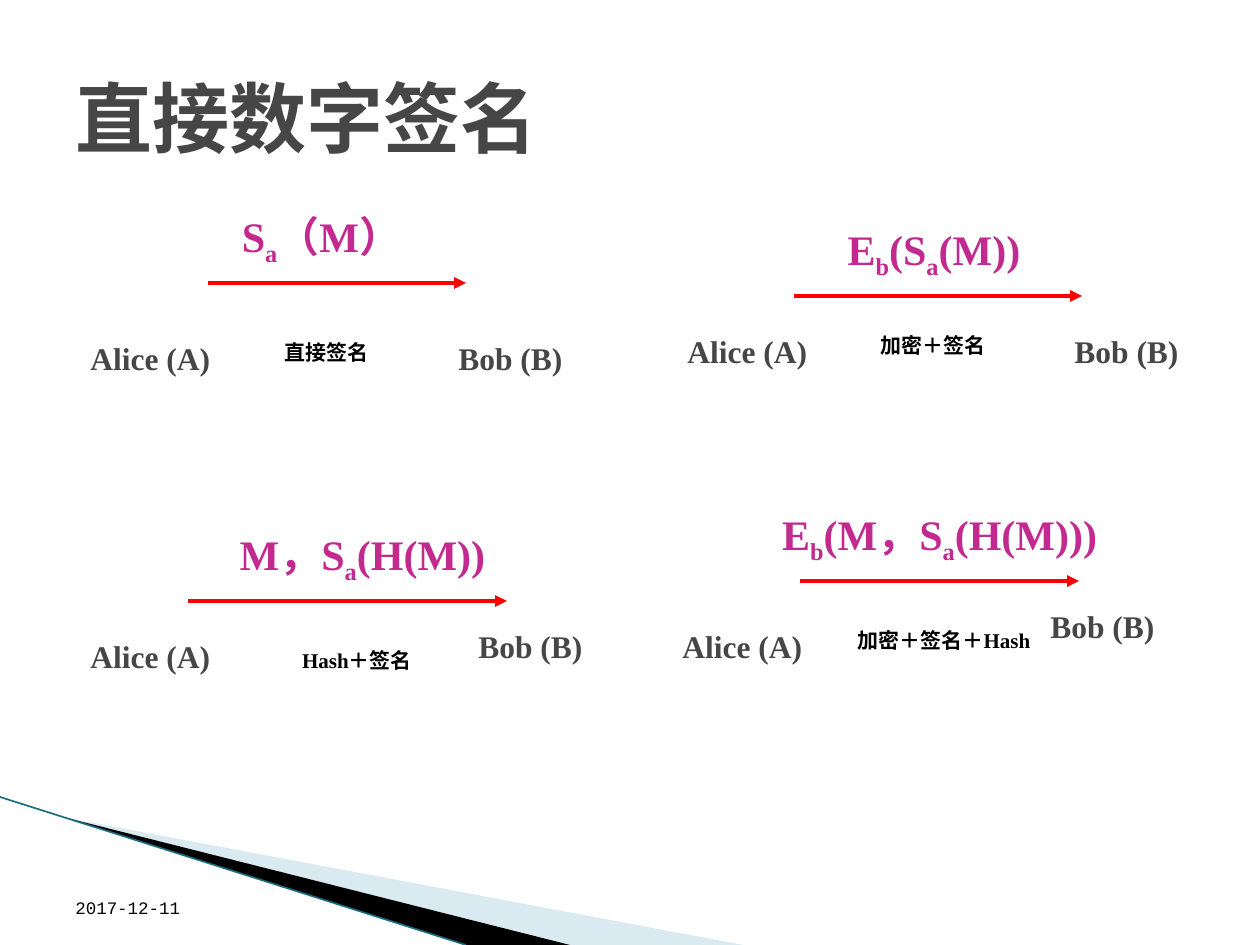
"""Build a slide comparing four direct digital signature schemes."""
from dataclasses import dataclass

from lxml.etree import SubElement
from pptx import Presentation
from pptx.dml.color import RGBColor
from pptx.enum.shapes import MSO_CONNECTOR
from pptx.enum.text import MSO_ANCHOR, PP_ALIGN
from pptx.oxml.ns import qn
from pptx.util import Emu, Pt

TITLE = "直接数字签名"
DATE = "2017-12-11"
SENDER, RECEIVER = "Alice (A)", "Bob (B)"

# Every second part of a formula is a subscript.
SCHEMES = [
    {"formula": ("S", "a", "（M）"), "formula_at": (188, 267), "arrow": (208, 466, 283),
     "sender": (78, 333), "receiver": (446, 333),
     "caption": "直接签名", "caption_at": (228, 333, 198)},
    {"formula": ("E", "b", "(S", "a", "(M))"), "formula_at": (775, 318), "arrow": (794, 1082, 296),
     "sender": (675, 326), "receiver": (1062, 326),
     "caption": "加密＋签名", "caption_at": (834, 326, 198)},
    {"formula": ("M，S", "a", "(H(M))"), "formula_at": (179, 367), "arrow": (188, 507, 601),
     "sender": (78, 631), "receiver": (466, 621),
     "caption": "Hash＋签名", "caption_at": (258, 641, 198)},
    {"formula": ("E", "b", "(M，S", "a", "(H(M)))"), "formula_at": (741, 397), "arrow": (800, 1079, 581),
     "sender": (670, 621), "receiver": (1038, 601),
     "caption": "加密＋签名＋Hash", "caption_at": (830, 621, 228)},
]
PALE_WEDGE = [(67, 818), (743, 945), (570, 945)]
DARK_WEDGE = [(67, 818), (570, 945), (466, 945)]
EDGE = (0, 797, 466, 945)


@dataclass(frozen=True)
class Theme:
    font: str = "Times New Roman"
    date_font: str = "Courier New"
    heading: str = "464646"
    formula: str = "C22A8F"
    arrow: str = "FF0000"
    black: str = "000000"
    pale: str = "D9EAF1"
    edge: str = "1B6E82"
    title_size: int = 44
    formula_size: int = 24
    name_size: int = 18
    caption_size: int = 12
    date_size: int = 10
    arrow_width: float = 2.25
    edge_width: float = 0.95


THEME = Theme()


def px(value):
    return Emu(round(value * 914400 / 126))


def write(box, parts, *, size, color, font=THEME.font, bold=True,
          align=PP_ALIGN.LEFT, anchor=MSO_ANCHOR.TOP):
    frame = box.text_frame
    frame.word_wrap = True
    frame.vertical_anchor = anchor
    para = frame.paragraphs[0]
    para.alignment = align
    for index, part in enumerate(parts):
        span = para.add_run()
        span.text = part
        span.font.name = font
        span.font.size = Pt(size)
        span.font.bold = bold
        span.font.color.rgb = RGBColor.from_string(color)
        if index % 2:
            span._r.get_or_add_rPr().set("baseline", "-25000")


def add_text(page, parts, place, **style):
    box = page.shapes.add_textbox(*map(px, place))
    write(box, parts, **style)


def add_line(page, ends, color, width, arrowhead=False):
    line = page.shapes.add_connector(MSO_CONNECTOR.STRAIGHT, *map(px, ends))
    line.line.color.rgb = RGBColor.from_string(color)
    line.line.width = Pt(width)
    if arrowhead:
        SubElement(line.line._get_or_add_ln(), qn("a:tailEnd"), type="triangle")
    SubElement(line._element.spPr, qn("a:effectLst"))


def add_wedge(page, points, color):
    start, *others = [(px(x), px(y)) for x, y in points]
    builder = page.shapes.build_freeform(*start)
    builder.add_line_segments(others, close=True)
    wedge = builder.convert_to_shape()
    wedge.shadow.inherit = False
    wedge.fill.solid()
    wedge.fill.fore_color.rgb = RGBColor.from_string(color)
    wedge.line.fill.background()


def add_scheme(page, scheme):
    left, right, level = scheme["arrow"]
    add_line(page, (left, level, right, level), THEME.arrow, THEME.arrow_width, arrowhead=True)
    formula_left, formula_width = scheme["formula_at"]
    add_text(page, scheme["formula"], (formula_left, level - 79, formula_width, 63),
             size=THEME.formula_size, color=THEME.formula, align=PP_ALIGN.CENTER)
    for name, role in ((SENDER, "sender"), (RECEIVER, "receiver")):
        add_text(page, [name], (*scheme[role], 159, 50),
                 size=THEME.name_size, color=THEME.heading)
    add_text(page, [scheme["caption"]], (*scheme["caption_at"], 38),
             size=THEME.caption_size, color=THEME.black, align=PP_ALIGN.CENTER)


def main():
    deck = Presentation()
    deck.slide_width, deck.slide_height = px(1260), px(945)
    page = deck.slides.add_slide(deck.slide_layouts[5])
    add_wedge(page, PALE_WEDGE, THEME.pale)
    add_wedge(page, DARK_WEDGE, THEME.black)
    add_line(page, EDGE, THEME.edge, THEME.edge_width)
    title = page.shapes.title
    title.left, title.top, title.width, title.height = map(px, (63, 38, 1134, 158))
    write(title, [TITLE], size=THEME.title_size, color=THEME.heading, anchor=MSO_ANCHOR.MIDDLE)
    add_text(page, [DATE], (63, 861, 294, 63), size=THEME.date_size, color=THEME.black,
             font=THEME.date_font, bold=False, anchor=MSO_ANCHOR.BOTTOM)
    for scheme in SCHEMES:
        add_scheme(page, scheme)
    deck.save("out.pptx")


if __name__ == "__main__":
    main()
